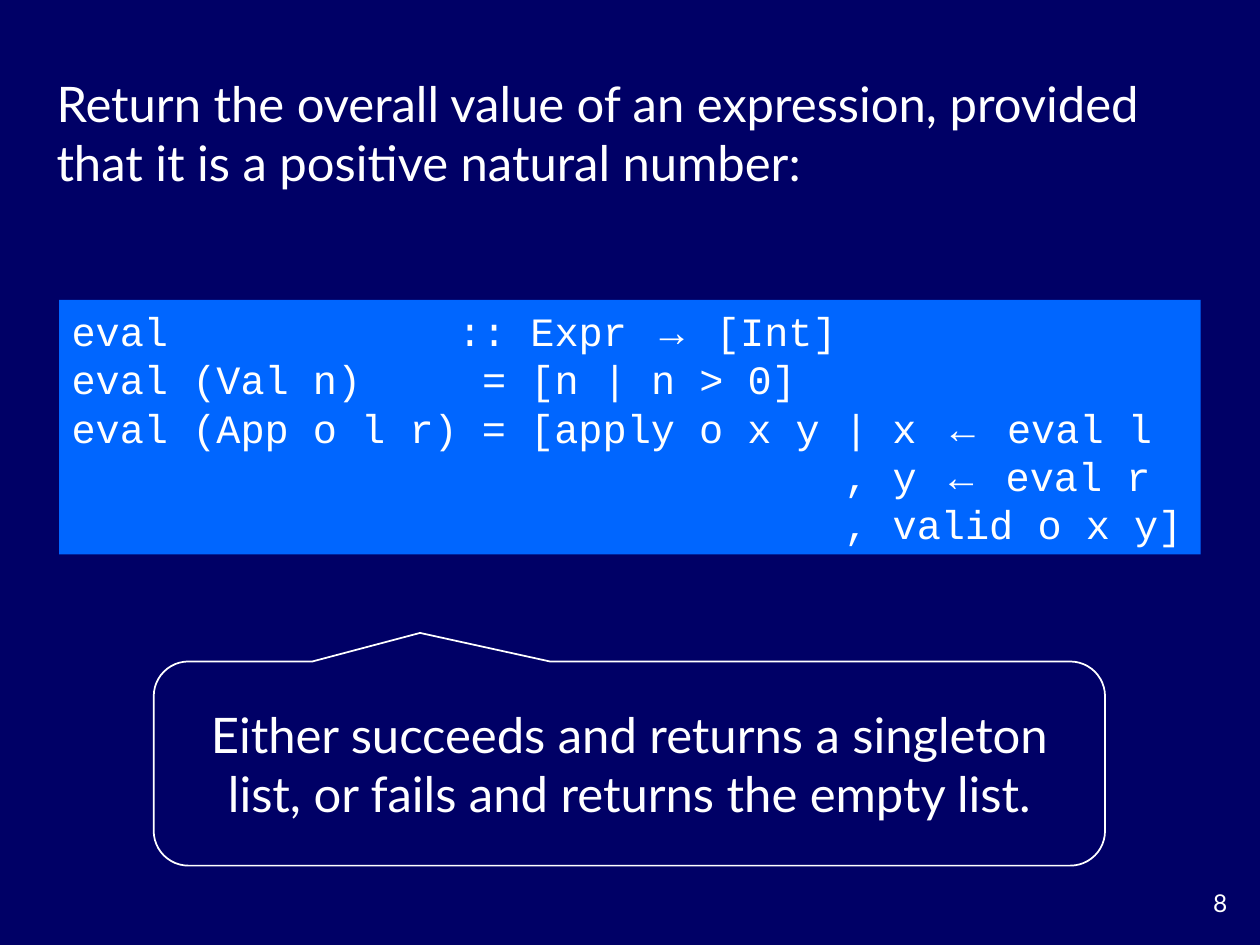
from dataclasses import dataclass
from itertools import groupby
from typing import Optional

from lxml import etree
from pptx import Presentation
from pptx.dml.color import RGBColor
from pptx.enum.shapes import MSO_SHAPE
from pptx.enum.text import MSO_ANCHOR, MSO_AUTO_SIZE, PP_ALIGN
from pptx.oxml.ns import qn
from pptx.util import Emu, Inches, Pt

RECT = MSO_SHAPE.RECTANGLE
CALLOUT = MSO_SHAPE.ROUNDED_RECTANGULAR_CALLOUT
LEFT, CENTER, RIGHT = PP_ALIGN.LEFT, PP_ALIGN.CENTER, PP_ALIGN.RIGHT
TOP, MIDDLE = MSO_ANCHOR.TOP, MSO_ANCHOR.MIDDLE
GROW, FIXED = MSO_AUTO_SIZE.SHAPE_TO_FIT_TEXT, MSO_AUTO_SIZE.NONE

NAVY, BLUE, WHITE = "000066", "0066FF", "FFFFFF"
BODY, CODE, SYMBOL = "Lato", "Courier New", "Arial"
ARROWS = "→←"
CODE_SIZE = 23
CODE_COLUMN = Pt(CODE_SIZE * 0.6)


@dataclass
class Block:
    at: tuple[float, float, float, float]
    lines: list[str]
    size: float
    font: str = BODY
    align: PP_ALIGN = LEFT
    anchor: MSO_ANCHOR = MIDDLE
    fit: MSO_AUTO_SIZE = GROW
    shape: Optional[MSO_SHAPE] = None
    fill: Optional[str] = None
    line: Optional[str] = None
    adjustments: tuple[float, ...] = ()
    tab_columns: tuple[int, ...] = ()


BLOCKS = [
    Block((0.47, 2.38, 9.06, 2.02), [
        "eval\t:: Expr → [Int]",
        "eval (Val n)\t= [n | n > 0]",
        "eval (App o l r) = [apply o x y | x ← eval l",
        "\t, y ← eval r",
        "\t, valid o x y]",
    ], CODE_SIZE, CODE, shape=RECT, fill=BLUE, tab_columns=(16, 17, 32, 32, 32)),
    Block((0.35, 0.53, 9.15, 1.04), [
        "Return the overall value of an expression, provided "
        "that it is a positive natural number:",
    ], 28),
    Block((1.22, 5.25, 7.55, 1.62), [
        "Either succeeds and returns a singleton list, "
        "or fails and returns the empty list.",
    ], 28, align=CENTER, shape=CALLOUT, line=WHITE,
        adjustments=(-0.22, -0.64, 0.17)),
    Block((9.17, 7, 0.67, 0.33), ["8"], 14, align=RIGHT, anchor=TOP, fit=FIXED),
]


def color(value: str) -> RGBColor:
    return RGBColor.from_string(value)


def add_tab(p, position: Emu) -> None:
    tabs = etree.SubElement(p._p.get_or_add_pPr(), qn("a:tabLst"))
    etree.SubElement(tabs, qn("a:tab"), pos=str(int(position)), algn="l")


def write_line(p, text: str, block: Block) -> None:
    p.alignment = block.align
    for is_arrow, chars in groupby(text, lambda char: char in ARROWS):
        r = p.add_run()
        r.text = "".join(chars)
        r.font.name = SYMBOL if is_arrow else block.font
        r.font.size = Pt(block.size)
        r.font.color.rgb = color(WHITE)


def add_block(s, block: Block) -> None:
    box = [Inches(v) for v in block.at]
    if block.shape is None:
        sp = s.shapes.add_textbox(*box)
    else:
        sp = s.shapes.add_shape(block.shape, *box)
        sp.shadow.inherit = False
        for i, value in enumerate(block.adjustments):
            sp.adjustments[i] = value
        if block.fill:
            sp.fill.solid()
            sp.fill.fore_color.rgb = color(block.fill)
        else:
            sp.fill.background()
        if block.line:
            sp.line.color.rgb = color(block.line)
            sp.line.width = Pt(1)
        else:
            sp.line.fill.background()
    tf = sp.text_frame
    tf.word_wrap = True
    tf.auto_size = block.fit
    tf.vertical_anchor = block.anchor
    for i, text in enumerate(block.lines):
        p = tf.add_paragraph() if i else tf.paragraphs[0]
        write_line(p, text, block)
        if "\t" in text:
            add_tab(p, CODE_COLUMN * block.tab_columns[i])


def main() -> None:
    prs = Presentation()
    prs.slide_width, prs.slide_height = Inches(10), Inches(7.5)
    s = prs.slides.add_slide(prs.slide_layouts[6])
    s.background.fill.solid()
    s.background.fill.fore_color.rgb = color(NAVY)
    for block in BLOCKS:
        add_block(s, block)
    prs.save("out.pptx")


main()
